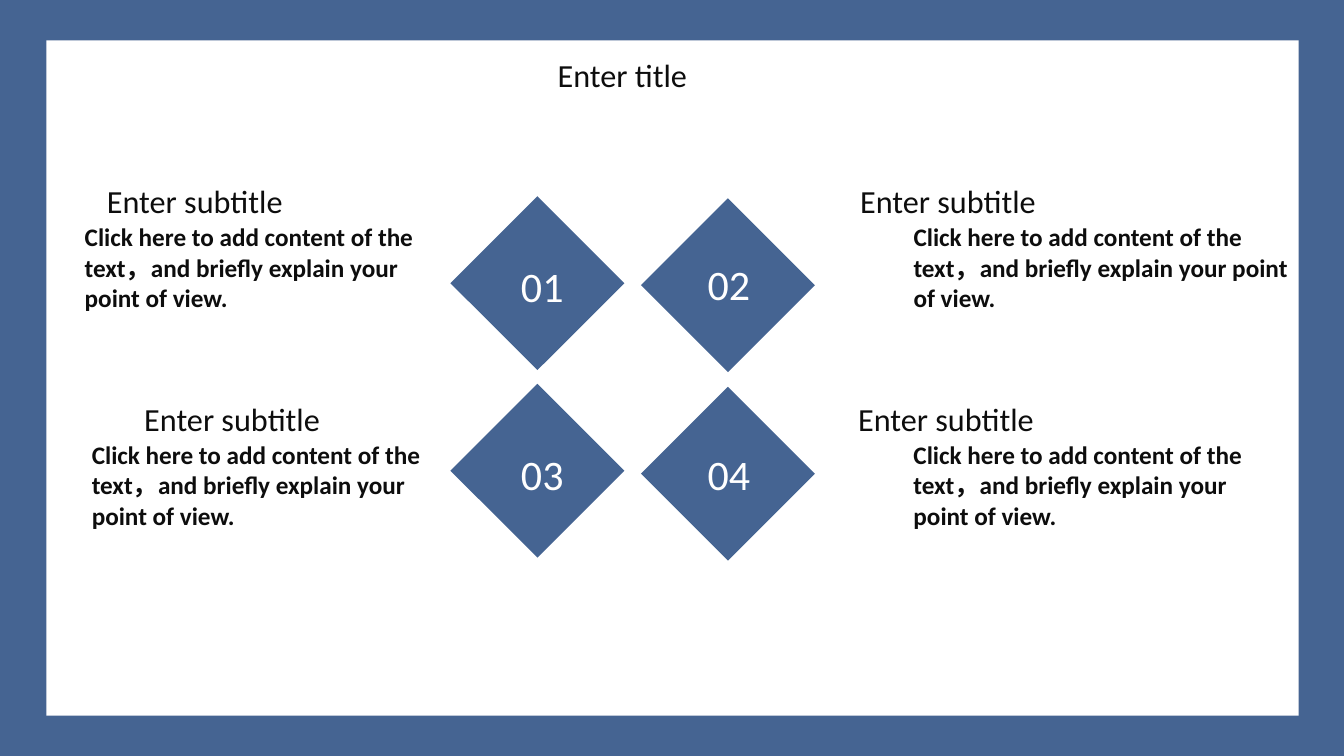
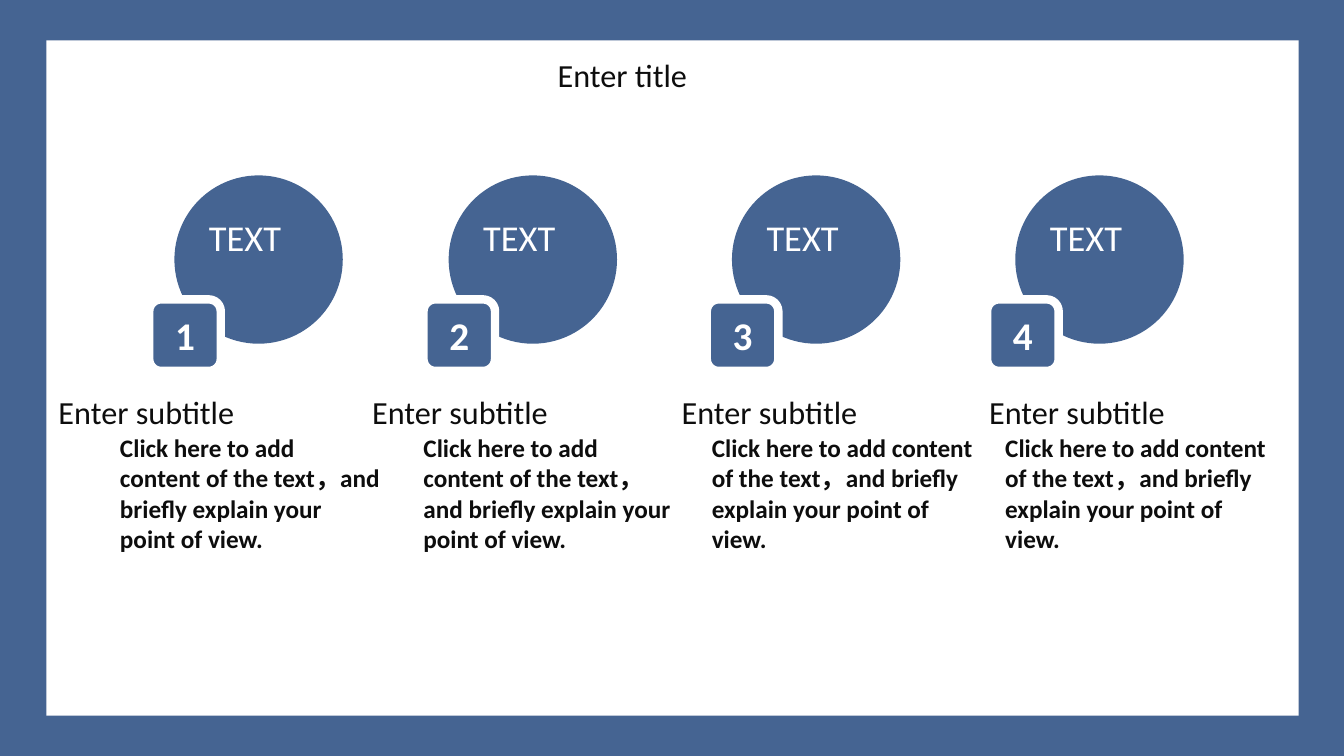
from pptx import Presentation
from pptx.dml.color import RGBColor
from pptx.enum.shapes import MSO_SHAPE
from pptx.enum.text import MSO_ANCHOR, MSO_AUTO_SIZE, PP_ALIGN
from pptx.util import Inches, Pt

BLUE, WHITE, INK = "456492", "FFFFFF", "0D0D0D"
FONT = "Calibri"
INSET_X, INSET_Y = 0.07, 0.04
HEADING_INDENT = 0.22
HEADING = {"size": Pt(23), "bold": False}
BODY = {"size": Pt(18), "bold": True}
DIAMOND_NUMBER = {"size": Pt(30), "bold": False}
CIRCLE_LABEL = {"size": Pt(26), "bold": False}
BADGE_NUMBER = {"size": Pt(28), "bold": True}

SUBTITLE = "Enter subtitle"
CONTENT = "Click here to add content of the text，and briefly explain your point of view."


def rgb(value):
    return RGBColor.from_string(value)


def inches(box):
    return [Inches(length) for length in box]


def write(shape, text, style, color=INK, align=PP_ALIGN.LEFT,
          anchor=MSO_ANCHOR.TOP, indent=0, top=INSET_Y, wrap=True):
    """Fill a shape with one formatted paragraph."""
    frame = shape.text_frame
    settings = {
        "auto_size": MSO_AUTO_SIZE.NONE, "word_wrap": wrap,
        "vertical_anchor": anchor,
        "margin_left": Inches(INSET_X + indent), "margin_right": Inches(INSET_X),
        "margin_top": Inches(top), "margin_bottom": Inches(INSET_Y),
    }
    for name, value in settings.items():
        setattr(frame, name, value)
    para = frame.paragraphs[0]
    para.alignment = align
    span = para.add_run()
    span.text = text
    for name, value in {"name": FONT, **style}.items():
        setattr(span.font, name, value)
    span.font.color.rgb = rgb(color)


def add_text(page, box, text, style, **options):
    write(page.shapes.add_textbox(*inches(box)), text, style, **options)


def add_solid(page, kind, box, fill, outline=None):
    shape = page.shapes.add_shape(kind, *inches(box))
    shape.shadow.inherit = False
    shape.fill.solid()
    shape.fill.fore_color.rgb = rgb(fill)
    if outline:
        shape.line.color.rgb = rgb(outline)
        shape.line.width = Pt(6)
    else:
        shape.line.fill.background()
    return shape


def add_framed_page(deck, title):
    """Add a page with the white panel and its title."""
    page = deck.slides.add_slide(deck.slide_layouts.get_by_name("Title Only"))
    panel = add_solid(page, MSO_SHAPE.RECTANGLE, (0.46, 0.4, 12.42, 6.7), WHITE)
    page.shapes.element.insert(2, panel.element)
    heading = page.shapes.title
    for name, value in zip(("left", "top", "width", "height"),
                           inches((5.24, 0.51, 2.55, 0.85))):
        setattr(heading, name, value)
    write(heading, title, HEADING, indent=HEADING_INDENT)
    return page


def add_caption(page, top, heading_span, body_span, body_height):
    """Add a subtitle over its text; each span is a left edge and a width."""
    left, width = heading_span
    add_text(page, (left, top, width, 0.85), SUBTITLE, HEADING, indent=HEADING_INDENT)
    left, width = body_span
    add_text(page, (left, top + 0.4, width, body_height), CONTENT, BODY)


def add_diamond(page, left, top, number_left, number_top, number):
    diamond = add_solid(page, MSO_SHAPE.RECTANGLE, (left, top, 1.22, 1.22), BLUE)
    diamond.rotation = 45
    add_text(page, (number_left, number_top, 2.55, 0.58), number, DIAMOND_NUMBER,
             color=WHITE, align=PP_ALIGN.RIGHT)


def add_circle(page, left, badge_left, number):
    circle = add_solid(page, MSO_SHAPE.OVAL, (left, 1.74, 1.67, 1.67), BLUE)
    write(circle, "TEXT", CIRCLE_LABEL, color=WHITE, indent=0.03, top=0.15)
    badge = add_solid(page, MSO_SHAPE.ROUNDED_RECTANGLE,
                      (badge_left, 2.97, 0.71, 0.71), BLUE, outline=WHITE)
    write(badge, number, BADGE_NUMBER, color=WHITE, align=PP_ALIGN.CENTER,
          anchor=MSO_ANCHOR.MIDDLE, wrap=False)


def build_diamond_page(deck):
    page = add_framed_page(deck, "Enter title")
    diamonds = [
        (4.72, 2.2, 3.11, 2.54), (6.61, 2.22, 4.96, 2.52),
        (4.72, 4.06, 3.11, 4.41), (6.61, 4.09, 4.96, 4.41),
    ]
    for index, place in enumerate(diamonds, 1):
        add_diamond(page, *place, f"{index:02}")
    captions = [
        (1.76, (0.77, 3.54), (0.77, 3.58)), (1.76, (8.24, 3.31), (8.99, 3.89)),
        (3.92, (1.14, 3.17), (0.84, 3.51)), (3.92, (8.22, 3.42), (8.99, 3.67)),
    ]
    for caption in captions:
        add_caption(page, *caption, 1.89)


def build_circle_page(deck):
    page = add_framed_page(deck, "Enter title")
    columns = [
        (1.73, 1.48, (0.29, 3.34), (1.12, 2.72)),
        (4.45, 4.2, (3.4, 3.21), (4.13, 2.64)),
        (7.26, 7.01, (6.47, 3.17), (6.99, 2.8)),
        (10.07, 9.79, (9.52, 2.93), (9.9, 2.73)),
    ]
    for index, (left, badge_left, heading_span, body_span) in enumerate(columns, 1):
        add_circle(page, left, badge_left, str(index))
        add_caption(page, 3.85, heading_span, body_span, 2.34)


def main():
    deck = Presentation()
    deck.slide_width, deck.slide_height = inches((13.33, 7.5))
    backdrop = deck.slide_master.background.fill
    backdrop.solid()
    backdrop.fore_color.rgb = rgb(BLUE)
    build_diamond_page(deck)
    build_circle_page(deck)
    deck.save("out.pptx")


if __name__ == "__main__":
    main()
